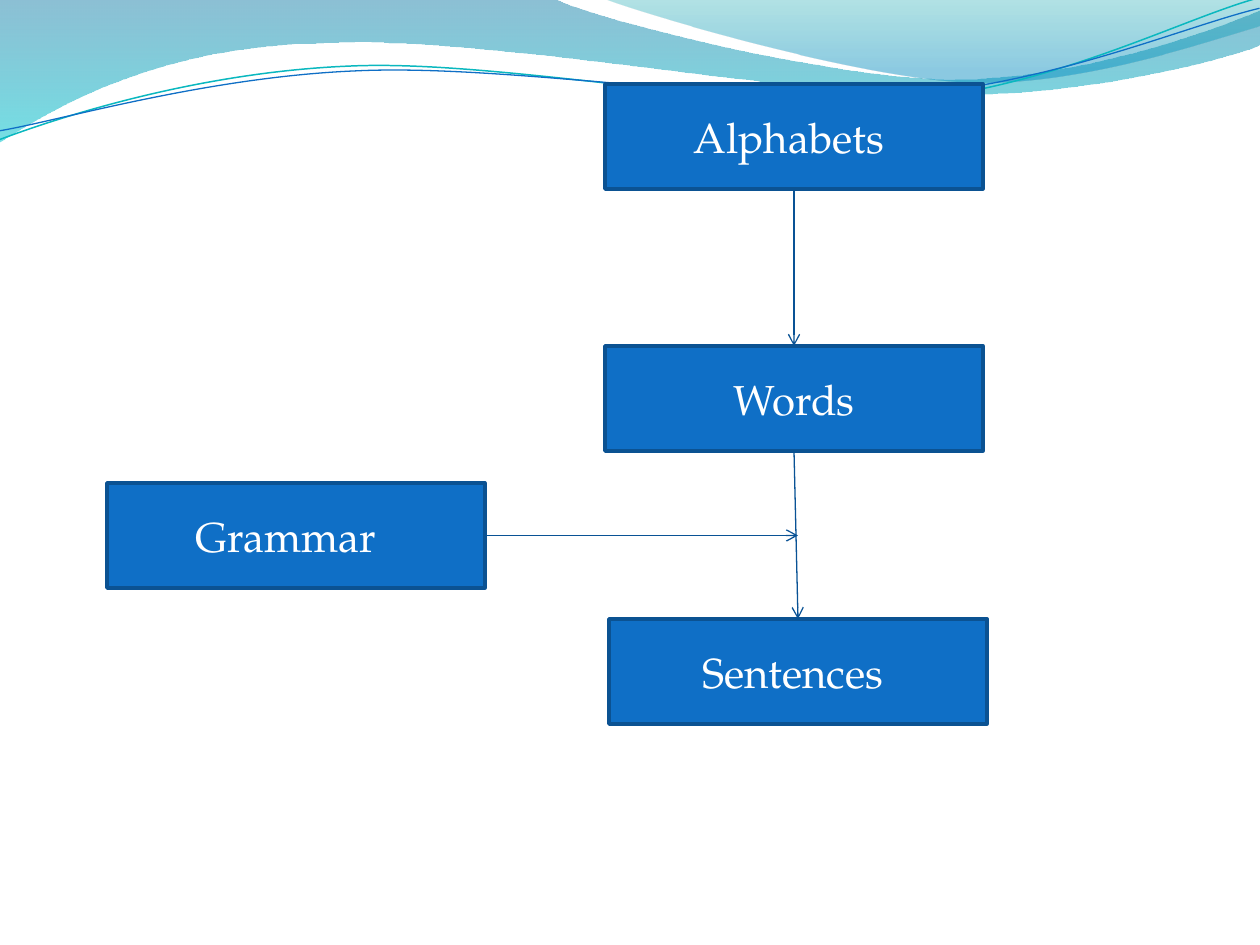
from lxml.etree import SubElement
from pptx import Presentation
from pptx.dml.color import RGBColor
from pptx.enum.shapes import MSO_CONNECTOR as Connector, MSO_SHAPE as Shape
from pptx.enum.text import MSO_ANCHOR as Anchor, PP_ALIGN as Align
from pptx.oxml.ns import qn
from pptx.util import Emu, Pt

PX = 7257.14
BOX_W, BOX_H = 378, 105
FONT = "TeX Gyre Pagella"
STRAND_TURN = 357.3

# each wave: start point, then line (1 point) or Bezier (3 points) segments
BANDS = [
    ((0, 0),
     [[(554, -1)],
      [(600, 21), (837, 79), (955, 79)],
      [(1075, 79), (1207, 33), (1260, 11)],
      [(1261, 45)],
      [(1239, 55), (1096, 96), (940, 95)],
      [(784, 95), (481, 35), (324, 43)],
      [(163, 45), (58, 105), (-1, 142)],
      [(0, 0)]],
     [(0, "0074A1", 45), (1, "00C6CF", 55)]),
    ((604, -1),
     [[(641, 14), (859, 78), (969, 82)],
      [(1079, 86), (1211, 40), (1260, 26)],
      [(1260, 0)],
      [(604, -1)]],
     [(0, "00A1A9", 30), (0.8, "008BBF", 45)]),
]
STRANDS = [
    ((-3, 110),
     [[(59, 90), (199, 52), (350, 53)],
      [(499, 53), (745, 117), (896, 114)],
      [(1049, 109), (1184, 45), (1260, 28)]],
     "0AB8BF", 0.85),
    ((-2, 101),
     [[(57, 94), (207, 57), (357, 58)],
      [(509, 58), (750, 112), (902, 108)],
      [(1052, 104), (1188, 52), (1262, 38)]],
     "0F6FC6", 0.75),
]
BOXES = [
    ("Alphabets ", 605, 84),
    ("Words", 605, 346),
    ("Sentences ", 609, 619),
    ("Grammar  ", 107, 483),
]


def px(value):
    return Emu(round(value * PX))


def color(value):
    return RGBColor.from_string(value)


def add_wave(shapes, start, segments, close):
    builder = shapes.build_freeform(*start, scale=PX)
    for segment in segments:
        builder.add_line_segments(segment, close=close and segment is segments[-1])
    wave = builder.convert_to_shape()
    wave.shadow.inherit = False
    outline = next(wave._element.iter(qn("a:path")))
    lines = iter(outline.findall(qn("a:lnTo")))
    for segment in segments:
        first, *others = [next(lines) for _ in segment]
        if others:
            first.tag = qn("a:cubicBezTo")
            for other in others:
                first.append(other[0])
                outline.remove(other)
    return wave


def add_band(shapes, start, segments, stops):
    band = add_wave(shapes, start, segments, True)
    band.line.fill.background()
    band.fill.gradient()
    band.fill.gradient_angle = 270
    for stop, (position, tone, _) in zip(band.fill.gradient_stops, stops):
        stop.position = position
        stop.color.rgb = color(tone)
    tones = list(band._element.spPr.iter(qn("a:srgbClr")))
    for tone, (_, _, opacity) in zip(tones, stops):
        SubElement(tone, qn("a:alpha"), val=str(opacity * 1000))


def add_strand(shapes, start, segments, tone, width):
    strand = add_wave(shapes, start, segments, False)
    strand.rotation = STRAND_TURN
    strand.fill.background()
    strand.line.color.rgb = color(tone)
    strand.line.width = Pt(width)


def add_box(shapes, text, left, top):
    box = shapes.add_shape(Shape.RECTANGLE, px(left), px(top), px(BOX_W), px(BOX_H))
    box.shadow.inherit = False
    box.fill.solid()
    box.fill.fore_color.rgb = color("0F6FC6")
    box.line.color.rgb = color("0B5292")
    box.line.width = Pt(2)
    box.text_frame.vertical_anchor = Anchor.MIDDLE
    para = box.text_frame.paragraphs[0]
    para.text = text
    para.alignment = Align.CENTER
    para.font.name = FONT
    para.font.size = Pt(24)
    para.font.color.rgb = color("FFFFFF")
    return box


def add_arrow(shapes, source, side, target=None, end=(0, 0)):
    arrow = shapes.add_connector(Connector.STRAIGHT, 0, 0, px(end[0]), px(end[1]))
    arrow.begin_connect(source, side)
    if target is not None:
        arrow.end_connect(target, 0)
    arrow.line.color.rgb = color("095295")
    arrow.line.width = Pt(0.75)
    SubElement(arrow.line._get_or_add_ln(), qn("a:tailEnd"), type="arrow")
    SubElement(arrow._element.spPr, qn("a:effectLst"))


def main():
    deck = Presentation()
    deck.slide_width, deck.slide_height = px(1260), px(945)
    shapes = deck.slides.add_slide(deck.slide_layouts[6]).shapes
    for band in BANDS:
        add_band(shapes, *band)
    strand_group = shapes.add_group_shape()
    for strand in STRANDS:
        add_strand(strand_group.shapes, *strand)
    alphabets, words, sentences, grammar = [add_box(shapes, *box) for box in BOXES]
    add_arrow(shapes, alphabets, 2, words)
    add_arrow(shapes, words, 2, sentences)
    add_arrow(shapes, grammar, 3, end=(798, 535.5))
    deck.save("out.pptx")


if __name__ == "__main__":
    main()
